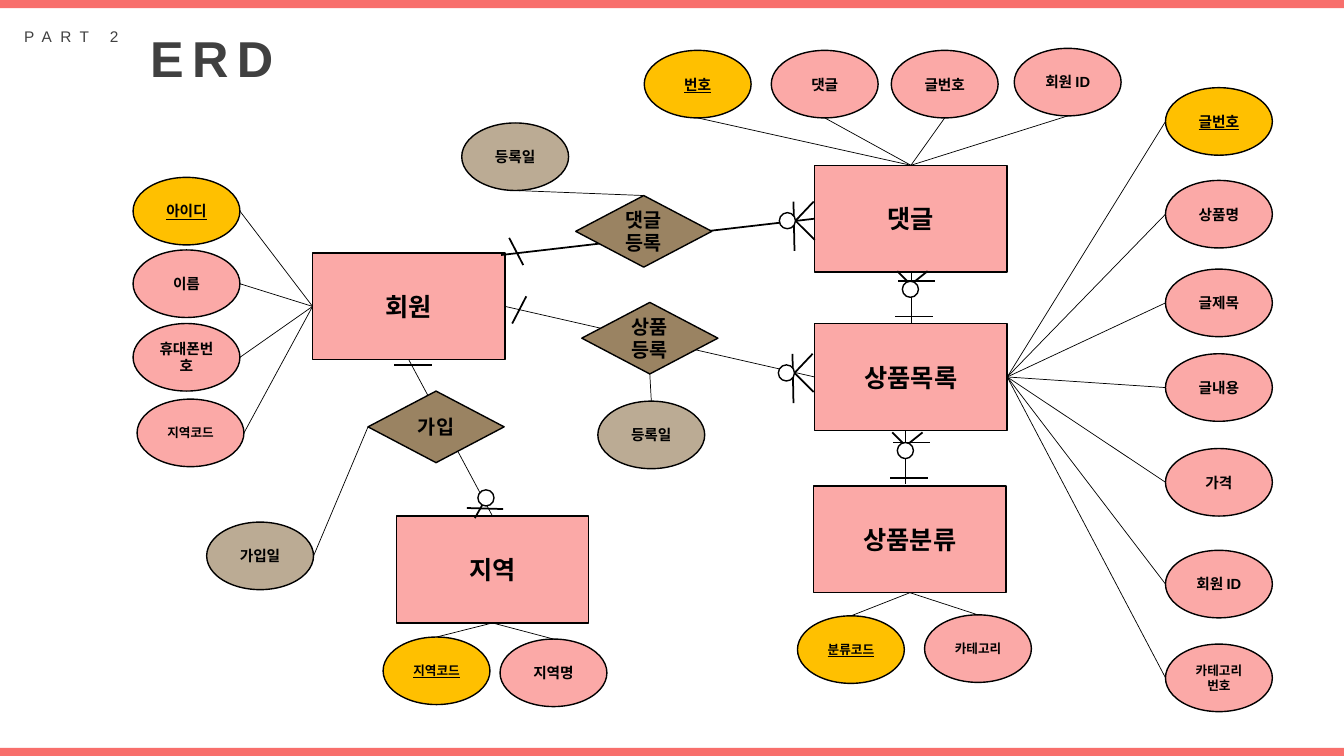
from dataclasses import dataclass

from lxml import etree
from pptx import Presentation
from pptx.dml.color import RGBColor
from pptx.enum.shapes import MSO_CONNECTOR, MSO_SHAPE
from pptx.enum.text import MSO_ANCHOR, MSO_AUTO_SIZE, PP_ALIGN
from pptx.oxml.ns import qn
from pptx.util import Inches, Pt

TOP, LEFT, BOTTOM, RIGHT = range(4)
# Middle of each side, as fractions of width and height
SIDE_POINTS = {TOP: (0.5, 0), LEFT: (0, 0.5), BOTTOM: (0.5, 1), RIGHT: (1, 0.5)}

ENTITY_SIZE = (1.91, 1.06)
RELATION_SIZE = (1.35, 0.71)
ATTRIBUTE_SIZE = (1.06, 0.67)
CIRCLE_SIZE = (0.16, 0.16)


@dataclass(frozen=True)
class Theme:
    font: str = "Arial"
    band: str = "F86F6C"
    pink: str = "FBA9A7"
    key: str = "FFC000"
    relation: str = "9A8362"
    relation_attribute: str = "BBAB94"
    white: str = "FFFFFF"
    black: str = "000000"
    heading: str = "404040"
    title_pt: float = 36
    part_pt: float = 11
    entity_pt: float = 18
    relation_pt: float = 14
    attribute_pt: float = 10.5
    small_pt: float = 9
    letter_spacing: int = 600
    outline: float = 1
    thin: float = 0.5
    thick: float = 1.25


class Diagram:
    def __init__(self, slide, theme):
        self.slide = slide
        self.theme = theme

    def style_font(self, p, size, color, bold=True, underline=None):
        p.font.name = self.theme.font
        p.font.size = Pt(size)
        p.font.bold = bold
        p.font.underline = underline
        p.font.color.rgb = RGBColor.from_string(color)

    def shape(self, kind, pos, size, fill, outlined=True):
        sp = self.slide.shapes.add_shape(kind, *map(Inches, (*pos, *size)))
        sp.shadow.inherit = False
        sp.fill.solid()
        sp.fill.fore_color.rgb = RGBColor.from_string(fill)
        if outlined:
            sp.line.color.rgb = RGBColor.from_string(self.theme.black)
            sp.line.width = Pt(self.theme.outline)
        else:
            sp.line.fill.background()
        return sp

    def node(self, kind, text, pos, size, fill, pt, underline=None):
        sp = self.shape(kind, pos, size, fill)
        tf = sp.text_frame
        tf.word_wrap = True
        tf.vertical_anchor = MSO_ANCHOR.MIDDLE
        p = tf.paragraphs[0]
        p.text = text
        p.alignment = PP_ALIGN.CENTER
        self.style_font(p, pt, self.theme.black, underline=underline)
        return sp

    def entity(self, text, pos):
        return self.node(MSO_SHAPE.RECTANGLE, text, pos, ENTITY_SIZE,
                         self.theme.pink, self.theme.entity_pt)

    def relation(self, text, pos):
        return self.node(MSO_SHAPE.DIAMOND, text, pos, RELATION_SIZE,
                         self.theme.relation, self.theme.relation_pt)

    def attribute(self, owner, side, text, pos, fill, pt):
        """Draw an ellipse and tie its facing side to the owner's side."""
        underline = True if fill == self.theme.key else None
        self.node(MSO_SHAPE.OVAL, text, pos, ATTRIBUTE_SIZE, fill, pt, underline)
        fx, fy = SIDE_POINTS[(side + 2) % 4]
        w, h = ATTRIBUTE_SIZE
        start = (pos[0] + fx * w, pos[1] + fy * h)
        self.line(start, start, self.theme.thin, end=(owner, side))

    def line(self, start, stop, width, begin=None, end=None):
        """Draw a line; begin and end are optional (shape, side) joints."""
        c = self.slide.shapes.add_connector(
            MSO_CONNECTOR.STRAIGHT, *map(Inches, (*start, *stop)))
        c.line.color.rgb = RGBColor.from_string(self.theme.black)
        c.line.width = Pt(width)
        etree.SubElement(c._element.spPr, qn("a:effectLst"))
        if begin:
            c.begin_connect(*begin)
        if end:
            c.end_connect(*end)

    def cardinality(self, origin, strokes, circle=None):
        """Draw a cardinality mark from strokes relative to origin."""
        ox, oy = origin
        for x1, y1, x2, y2 in strokes:
            self.line((ox + x1, oy + y1), (ox + x2, oy + y2), self.theme.thick)
        if circle:
            self.shape(MSO_SHAPE.OVAL, (ox + circle[0], oy + circle[1]),
                       CIRCLE_SIZE, self.theme.white)

    def heading(self, text, pos, size, pt, bold):
        tb = self.slide.shapes.add_textbox(*map(Inches, (*pos, *size)))
        tf = tb.text_frame
        tf.word_wrap = False
        tf.auto_size = MSO_AUTO_SIZE.SHAPE_TO_FIT_TEXT
        p = tf.paragraphs[0]
        r = p.add_run()
        r.text = text
        r._r.get_or_add_rPr().set("spc", str(self.theme.letter_spacing))
        self.style_font(p, pt, self.theme.heading, bold)


def main():
    prs = Presentation()
    prs.slide_width, prs.slide_height = Inches(13.33), Inches(7.5)
    t = Theme()
    d = Diagram(prs.slides.add_slide(prs.slide_layouts[6]), t)

    for y in (0, 7.42):
        d.shape(MSO_SHAPE.RECTANGLE, (0, y), (13.33, 0.08), t.band, outlined=False)
    d.heading("PART 2", (0.14, 0.22), (1.25, 0.29), t.part_pt, False)
    d.heading("ERD", (1.39, 0.22), (1.52, 0.71), t.title_pt, True)

    member = d.entity("회원", (3.1, 2.51))
    comment = d.entity("댓글", (8.08, 1.64))
    product = d.entity("상품목록", (8.08, 3.21))
    category = d.entity("상품분류", (8.07, 4.82))
    region = d.entity("지역", (3.93, 5.12))

    # Links between entities run behind the relation diamonds
    for begin, end in (
        ((member, RIGHT), (product, LEFT)),
        ((member, BOTTOM), (region, TOP)),
        ((comment, BOTTOM), (product, TOP)),
    ):
        d.line((0, 0), (0, 0), t.thin, begin, end)
    d.line((4.97, 2.53), (8.08, 2.17), t.thick, end=(comment, LEFT))
    d.line((8.98, 4.27), (8.98, 4.8), t.thin)

    join = d.relation("가입", (3.65, 3.88))
    post_product = d.relation("상품등록", (5.77, 3))
    post_comment = d.relation("댓글등록", (5.71, 1.94))

    normal, small = t.attribute_pt, t.small_pt
    attributes = (
        (member, LEFT, (
            ("아이디", 1.32, 1.76, t.key, normal),
            ("이름", 1.32, 2.48, t.pink, normal),
            ("휴대폰번호", 1.32, 3.21, t.pink, normal),
            ("지역코드", 1.36, 3.96, t.pink, small))),
        (comment, TOP, (
            ("번호", 6.39, 0.5, t.key, normal),
            ("댓글", 7.65, 0.5, t.pink, normal),
            ("글번호", 8.84, 0.5, t.pink, normal),
            ("회원 ID", 10.06, 0.48, t.pink, normal))),
        (product, RIGHT, (
            ("글번호", 11.56, 0.87, t.key, normal),
            ("상품명", 11.56, 1.79, t.pink, normal),
            ("글제목", 11.56, 2.67, t.pink, normal),
            ("글내용", 11.56, 3.51, t.pink, normal),
            ("가격", 11.56, 4.45, t.pink, normal),
            ("회원 ID", 11.56, 5.46, t.pink, normal),
            ("카테고리번호", 11.56, 6.39, t.pink, small))),
        (region, BOTTOM, (
            ("지역코드", 3.8, 6.32, t.key, small),
            ("지역명", 4.96, 6.34, t.pink, normal))),
        (category, BOTTOM, (
            ("분류코드", 7.91, 6.11, t.key, small),
            ("카테고리", 9.17, 6.1, t.pink, small))),
        (join, LEFT, (("가입일", 2.05, 5.18, t.relation_attribute, normal),)),
        (post_product, BOTTOM, (("등록일", 5.93, 3.98, t.relation_attribute, normal),)),
        (post_comment, TOP, (("등록일", 4.58, 1.22, t.relation_attribute, normal),)),
    )
    for owner, side, items in attributes:
        for text, x, y, fill, pt in items:
            d.attribute(owner, side, text, (x, y), fill, pt)

    many_sideways = ((-0.02, -0.19, -0.01, 0.3), (0, 0, 0.18, -0.19), (0, 0, 0.19, 0.19))
    for origin in ((7.88, 3.7), (7.89, 2.19)):
        d.cardinality(origin, many_sideways, circle=(-0.16, -0.08))

    many_to_one_down = ((-0.13, 0.02, -0.01, 0.14), (0.17, 0.02, 0.02, 0.14),
                        (-0.12, 0.12, 0.24, 0.12), (-0.15, 0.47, 0.22, 0.47))
    for origin in ((8.98, 4.27), (9.03, 2.67)):
        d.cardinality(origin, many_to_one_down, circle=(-0.08, 0.12))

    d.cardinality((4.74, 4.86), ((-0.11, 0.18, 0.25, 0.19), (-0.03, 0.28, 0.06, 0.12)),
                  circle=(0, 0))
    d.cardinality((3.91, 3.62), ((0, 0, 0.37, 0),))
    d.cardinality((5.05, 2.36), ((0, 0, 0.14, 0.27),))
    d.cardinality((5.08, 3.21), ((0, 0, 0.14, -0.27),))

    prs.save("out.pptx")


if __name__ == "__main__":
    main()
